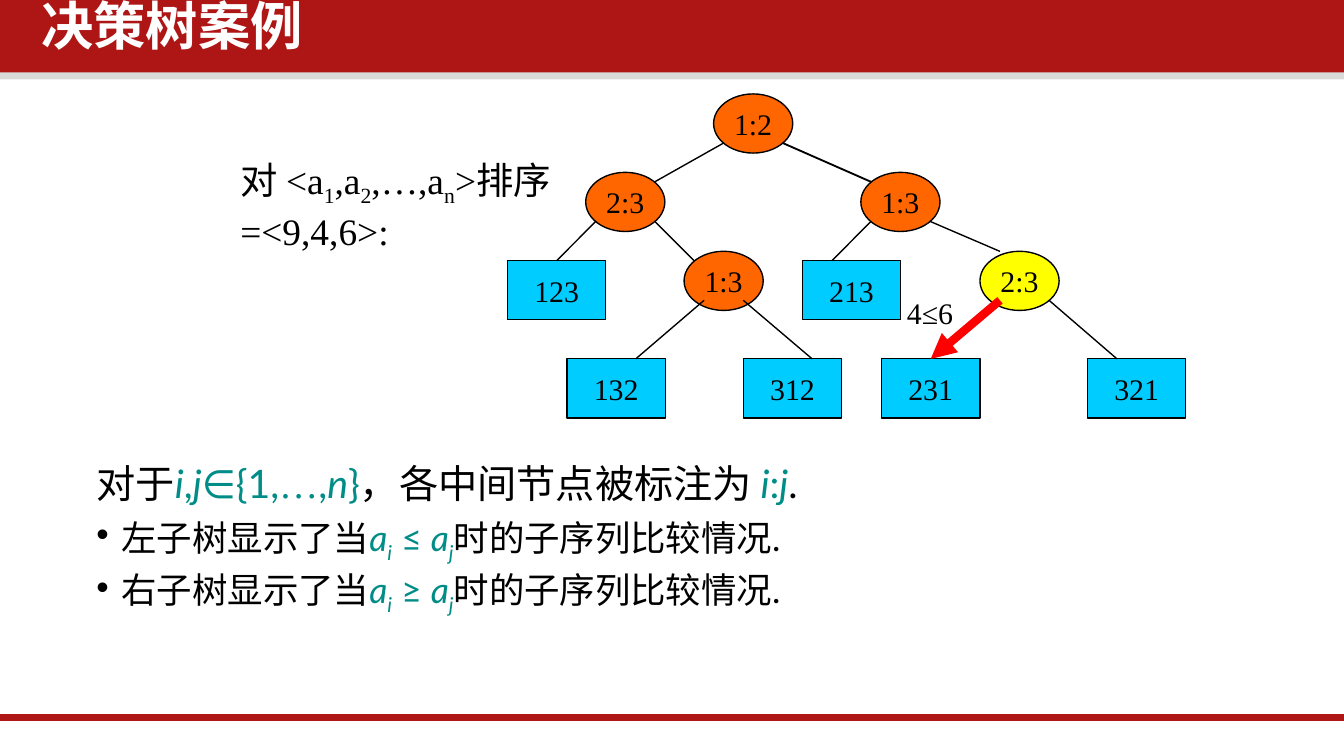
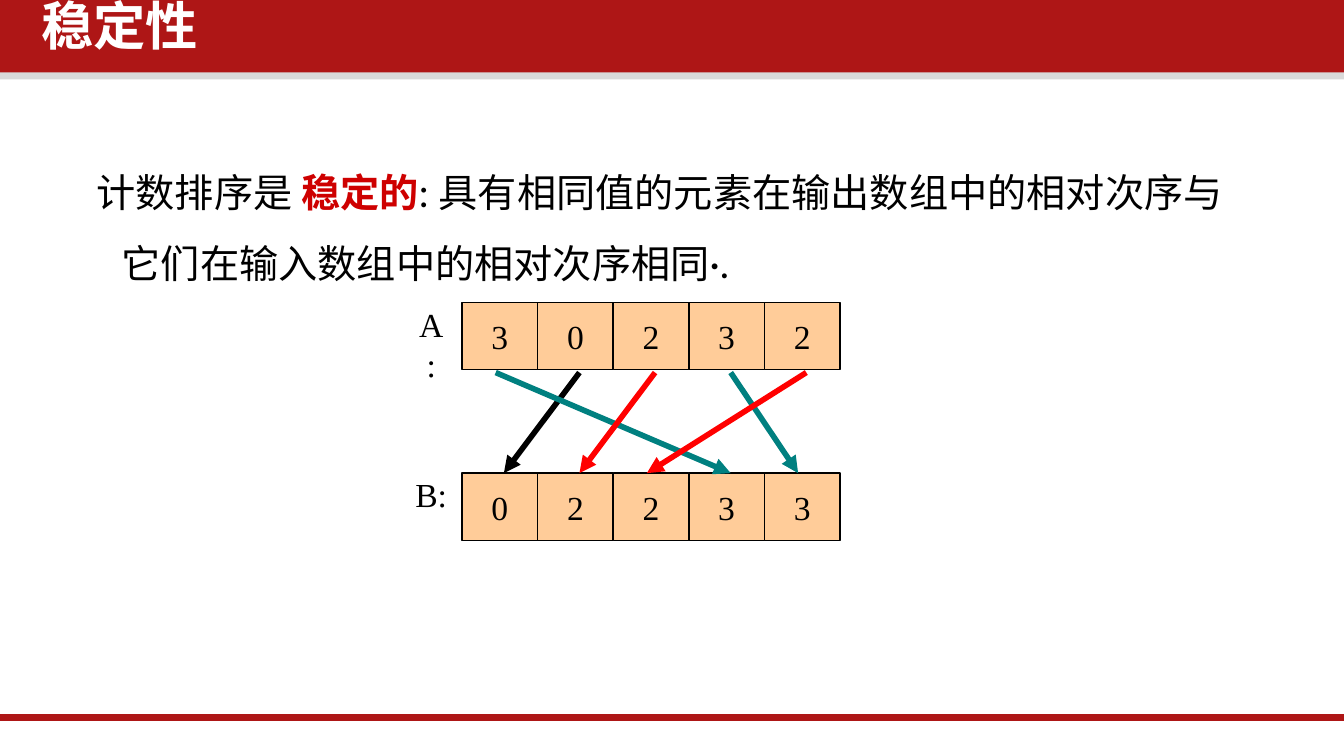
from lxml import etree
from pptx import Presentation
from pptx.dml.color import RGBColor
from pptx.enum import shapes as kinds, text as txt
from pptx.oxml.ns import qn
from pptx.util import Pt

RED_BAND = RGBColor(0xAE, 0x16, 0x16)
GREY_BAND = RGBColor(0xD9, 0xD9, 0xD9)
WHITE = RGBColor(0xFF, 0xFF, 0xFF)
BLACK = RGBColor(0, 0, 0)
ORANGE = RGBColor(0xFF, 0x66, 0x00)
YELLOW = RGBColor(0xFF, 0xFF, 0x00)
CYAN = RGBColor(0x00, 0xCC, 0xFF)
PEACH = RGBColor(0xFF, 0xCC, 0x99)
RED = RGBColor(0xFF, 0, 0)
DARK_RED = RGBColor(0xCE, 0, 0)
TEAL = RGBColor(0, 0x80, 0x80)
FORMULA_TEAL = RGBColor(0, 0x8C, 0x87)
CJK = "Noto Sans CJK SC"
SERIF = "Times New Roman"
OVAL, RECT = kinds.MSO_SHAPE.OVAL, kinds.MSO_SHAPE.RECTANGLE


def write(shape, paragraphs, run_format, paragraph_format=None, **frame_format):
    """Fill a shape with paragraphs, each a list of (text, run overrides)."""
    frame = shape.text_frame
    for key, value in frame_format.items():
        setattr(frame, key, value)
    for number, runs in enumerate(paragraphs):
        paragraph = frame.paragraphs[0] if number == 0 else frame.add_paragraph()
        for key, value in (paragraph_format or {}).items():
            setattr(paragraph, key, value)
        for content, changes in runs:
            run = paragraph.add_run()
            run.text = content
            settings = {**run_format, **changes}
            run.font.color.rgb = settings.pop("color", BLACK)
            if settings.pop("sub", False):
                run.font._element.set("baseline", "-25000")
            for key, value in settings.items():
                setattr(run.font, key, value)
            etree.SubElement(run.font._element, qn("a:ea"), typeface=CJK)
    return frame


def draw_line(slide, start, end, color=BLACK, width=0.75, arrow=False):
    line = slide.shapes.add_connector(
        kinds.MSO_CONNECTOR.STRAIGHT, *(Pt(v) for v in (*start, *end)))
    line.line.color.rgb = color
    line.line.width = Pt(width)
    if arrow:
        etree.SubElement(line.line._get_or_add_ln(), qn("a:tailEnd"), type="triangle")
    etree.SubElement(line._element.spPr, qn("a:effectLst"))


deck = Presentation()
deck.slide_width, deck.slide_height = Pt(720), Pt(405)

# Bands and title on every slide
slides = []
for title in ("决策树案例", "稳定性"):
    slide = deck.slides.add_slide(deck.slide_layouts[6])
    slides.append(slide)
    for top, height, color in ((36, 6.5, GREY_BAND), (0, 38.9, RED_BAND)):
        band = slide.shapes.add_shape(RECT, 0, Pt(top), Pt(720), Pt(height))
        band.shadow.inherit = False
        band.fill.solid()
        band.fill.fore_color.rgb = color
        band.line.fill.background()
    draw_line(slide, (0, 384.5), (720, 384.5), RED_BAND, 4)
    heading = slide.shapes.add_textbox(Pt(17.3), 0, Pt(550), Pt(42.5))
    write(heading, [[(title, {})]],
          dict(name=CJK, size=Pt(28), bold=True, color=WHITE),
          dict(line_spacing=0.9), word_wrap=True,
          margin_left=Pt(5), margin_right=Pt(5), margin_top=0, margin_bottom=Pt(3))
tree_slide, stable_slide = slides

# Body texts
formula = dict(color=FORMULA_TEAL)
variable = dict(color=FORMULA_TEAL, italic=True)
index = dict(variable, sub=True)
small = dict(size=Pt(19))
node_rule = [("对于", {}), ("i", variable), (",", formula), ("j", variable),
             ("∈{1,", formula), ("…", dict(formula, name=SERIF)), (",", formula),
             ("n", variable), ("}", formula), ("，各中间节点被标注为 ", {}),
             ("i", variable), (":", formula), ("j", variable), (".", {})]
subtree_rules = [
    [(content, {**small, **changes}) for content, changes in (
        (f"{side}子树显示了当", {}), ("a", variable), ("i", index),
        (f" {relation} ", formula), ("a", variable), ("j", index),
        ("时的子序列比较情况.", {}))]
    for side, relation in (("左", "≤"), ("右", "≥"))]
stability = [("计数排序是 ", {}), ("稳定的", dict(color=DARK_RED, bold=True)),
             (": 具有相同值的元素在输出数组中的相对次序与它们在输入数组中的相对次序相同·.", {})]

for slide, paragraphs, spacing, anchor in (
        (tree_slide, [node_rule, *subtree_rules], 0.8, txt.MSO_ANCHOR.BOTTOM),
        (stable_slide, [stability], 1.5, txt.MSO_ANCHOR.TOP)):
    body = slide.shapes.add_textbox(Pt(44.6), Pt(74.2), Pt(620.6), Pt(257))
    frame = write(body, paragraphs, dict(name="Lato", size=Pt(21)),
                  dict(line_spacing=spacing, space_before=Pt(7.5)),
                  word_wrap=True, vertical_anchor=anchor)
    for number, paragraph in enumerate(frame.paragraphs):
        properties = paragraph._p.get_or_add_pPr()
        properties.set("marL", str(Pt(13.5)))
        properties.set("indent", str(Pt(-13.5)))
        if number:
            etree.SubElement(properties, qn("a:buFont"), typeface="Arial")
            etree.SubElement(properties, qn("a:buChar"), char="•")

# Input of the decision tree
sub = dict(sub=True)
task = tree_slide.shapes.add_textbox(Pt(121.7), Pt(80.6), Pt(185), Pt(55.4))
write(task, [[("对 <a", {}), ("1", sub), (",a", {}), ("2", sub), (",…,a", {}),
              ("n", sub), (">排序", {})], [("=<9,4,6>:", {})]],
      dict(name=SERIF, size=Pt(20)), word_wrap=True)

# Tree nodes by centre: inner comparisons and leaf orders
inner = {"root": ("1:2", 403.5, 66.2), "right right": ("2:3", 546.2, 150.5),
         "left right": ("1:3", 387.7, 150.5), "right": ("1:3", 482.4, 108.2),
         "left": ("2:3", 335, 108.2)}
leaves = {"123": (298.2, 155.5), "213": (456.2, 155.5), "312": (424.6, 208.1),
          "132": (330.1, 208.1), "231": (498.6, 208.1), "321": (608.9, 208.1)}
cells = [(tree_slide, OVAL, label, x, y, 42.4, 31.7,
          YELLOW if place == "right right" else ORANGE, 16)
         for place, (label, x, y) in inner.items()]
cells += [(tree_slide, RECT, order, x, y, 52.7, 31.7, CYAN, 16)
          for order, (x, y) in leaves.items()]

# Array cells
CELL, ARRAY_LEFT = 40.5, 247.5
arrays = (("A:", "30232", 162.1), ("B:", "02233", 253.5))
cells += [(stable_slide, RECT, digit, ARRAY_LEFT + (column + 0.5) * CELL, top + 18,
           CELL, 36, PEACH, 18)
          for _, digits, top in arrays for column, digit in enumerate(digits)]

for slide, kind, label, x, y, width, height, color, size in cells:
    cell = slide.shapes.add_shape(kind, Pt(x - width / 2), Pt(y - height / 2),
                                  Pt(width), Pt(height))
    cell.shadow.inherit = False
    cell.fill.solid()
    cell.fill.fore_color.rgb = color
    cell.line.color.rgb = BLACK
    cell.line.width = Pt(0.75)
    write(cell, [[(label, {})]], dict(name=SERIF, size=Pt(size)),
          dict(alignment=txt.PP_ALIGN.CENTER), word_wrap=False,
          vertical_anchor=txt.MSO_ANCHOR.MIDDLE)

# Tree edges: parent, child, x offsets at both ends, rise above the child's centre
centres = {**{place: (x, y) for place, (_, x, y) in inner.items()}, **leaves}
for parent, child, leave, arrive, rise in (
        ("root", "left", -15.8, 15.8, 10.8), ("root", "right", 15.8, -15.8, 10.8),
        ("left", "123", -15.8, 0, 15.8), ("left", "left right", 15.8, -15.8, 10.8),
        ("left right", "132", -10.5, 10.5, 15.8), ("left right", "312", 10.5, 10.5, 15.8),
        ("right right", "231", -10.5, 0, 15.8), ("right right", "321", 15.8, -10.5, 15.8),
        ("right", "right right", 15.8, -10.5, 15.8), ("right", "213", -15.8, -10.5, 15.8)):
    (x1, y1), (x2, y2) = centres[parent], centres[child]
    chosen = child == "231"
    draw_line(tree_slide, (x1 + leave, y1 + 10.4), (x2 + arrive, y2 - rise),
              RED if chosen else BLACK,
              4.5 if chosen else 1 if (parent, child) == ("root", "right") else 0.75,
              arrow=chosen)

# Labels of the chosen edge and of the arrays
labels = [(tree_slide, "4≤6", 478.8, 154.1, 46, 16, txt.PP_ALIGN.LEFT)]
labels += [(stable_slide, name, 215, top - 3, 32, 18, txt.PP_ALIGN.CENTER)
           for name, _, top in arrays]
for slide, label, left, top, width, size, alignment in labels:
    caption = slide.shapes.add_textbox(Pt(left), Pt(top), Pt(width), Pt(29))
    write(caption, [[(label, {})]], dict(name=SERIF, size=Pt(size)),
          dict(alignment=alignment), word_wrap=False)

# Moves from A to B: columns and small shifts from the cell centres
for source, target, leave, arrive, color in (
        (1, 0, 2.2, 2.2, BLACK), (0, 3, -2.2, 2.2, TEAL), (3, 4, 2.2, -2.2, TEAL),
        (2, 1, 2.2, 2.2, RED), (4, 2, 2.2, -2.2, RED)):
    draw_line(stable_slide, (ARRAY_LEFT + (source + 0.5) * CELL + leave, 199.6),
              (ARRAY_LEFT + (target + 0.5) * CELL + arrive, 253.5),
              color, 3, arrow=True)

deck.save("out.pptx")
